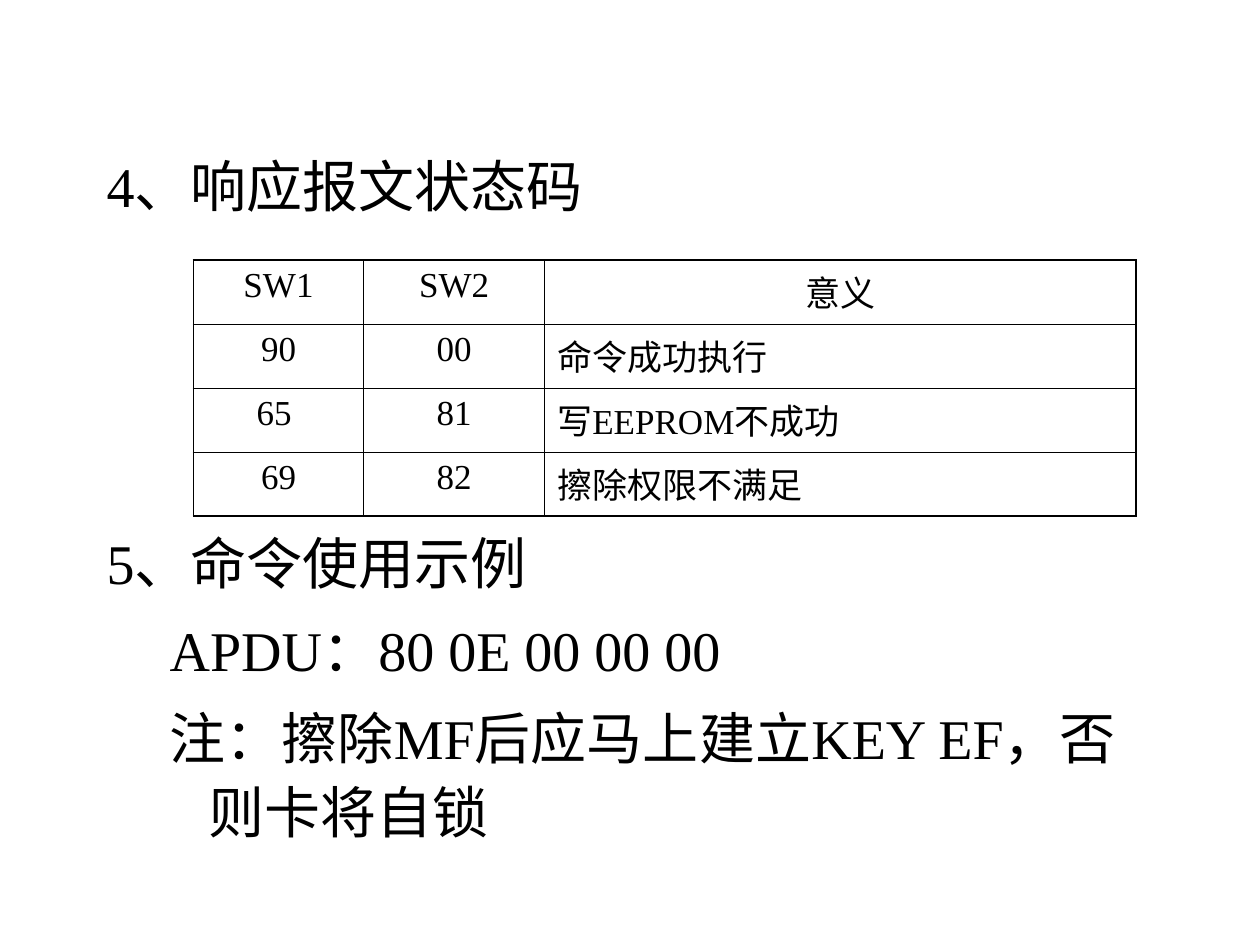
from lxml import etree
from pptx import Presentation
from pptx.dml.color import RGBColor
from pptx.enum.text import PP_ALIGN
from pptx.oxml.ns import qn
from pptx.util import Cm, Pt

LEFT, MID = PP_ALIGN.LEFT, PP_ALIGN.CENTER
FONT = "Times New Roman"
INK = "000000"
THIN, THICK = 0.45, 1.08


def color(code):
    return RGBColor.from_string(code)


def write(frame, text, size=32, align=LEFT, left=0, hang=0, line=None, gap=0, new=False):
    para = frame.add_paragraph() if new else frame.paragraphs[0]
    props = para._p.get_or_add_pPr()
    props.set("marL", str(Cm(left)))
    props.set("indent", str(-Cm(hang)))
    para.alignment = align
    para.space_before = Pt(gap)
    if line:
        para.line_spacing = line
    run = para.add_run()
    run.text = text
    run.font.size = Pt(size)
    run.font.name = FONT
    run.font.color.rgb = color(INK)


deck = Presentation()
deck.slide_width, deck.slide_height = Cm(25.4), Cm(19.05)
slide = deck.slides.add_slide(deck.slide_layouts[6])

frames = []
for top, height in [(2.92, 1.8), (10.52, 6.81)]:
    box = slide.shapes.add_textbox(Cm(1.9), Cm(top), Cm(21.21), Cm(height))
    box.text_frame.word_wrap = True
    frames.append(box.text_frame)
head, notes = frames

write(head, "4、响应报文状态码", left=0.95, hang=0.95)
write(notes, "5、命令使用示例", left=0.95, hang=0.95)
for text in ["APDU：80 0E 00 00 00", "注：擦除MF后应马上建立KEY EF，否则卡将自锁"]:
    write(notes, text, left=2.06, hang=0.79, line=1.1, gap=8, new=True)

codes = [
    ("SW1", "SW2", "意义"),
    ("90", "00", "命令成功执行"),
    ("65 ", "81", "写EEPROM不成功"),
    ("69", "82", "擦除权限不满足"),
]
widths = [3.43, 3.65, 11.92]
high = 1.29
rows, cols = len(codes), len(widths)
grid = slide.shapes.add_table(
    rows, cols, Cm(3.9), Cm(5.24), Cm(sum(widths)), Cm(high * rows)
).table
grid.first_row = grid.horz_banding = False
for col, width in zip(grid.columns, widths):
    col.width = Cm(width)

for r, code in enumerate(codes):
    grid.rows[r].height = Cm(high)
    for c, text in enumerate(code):
        cell = grid.cell(r, c)
        write(cell.text_frame, text, size=20, align=LEFT if r and c == 2 else MID)
        props = cell._tc.get_or_add_tcPr()
        edges = {"L": c == 0, "R": c == cols - 1, "T": r == 0, "B": r == rows - 1}
        for side, outer in edges.items():
            edge = etree.SubElement(props, qn("a:ln" + side))
            edge.set("w", str(Pt(THICK if outer else THIN)))
            fill = etree.SubElement(edge, qn("a:solidFill"))
            etree.SubElement(fill, qn("a:srgbClr")).set("val", INK)
        cell.fill.background()

deck.save("out.pptx")
